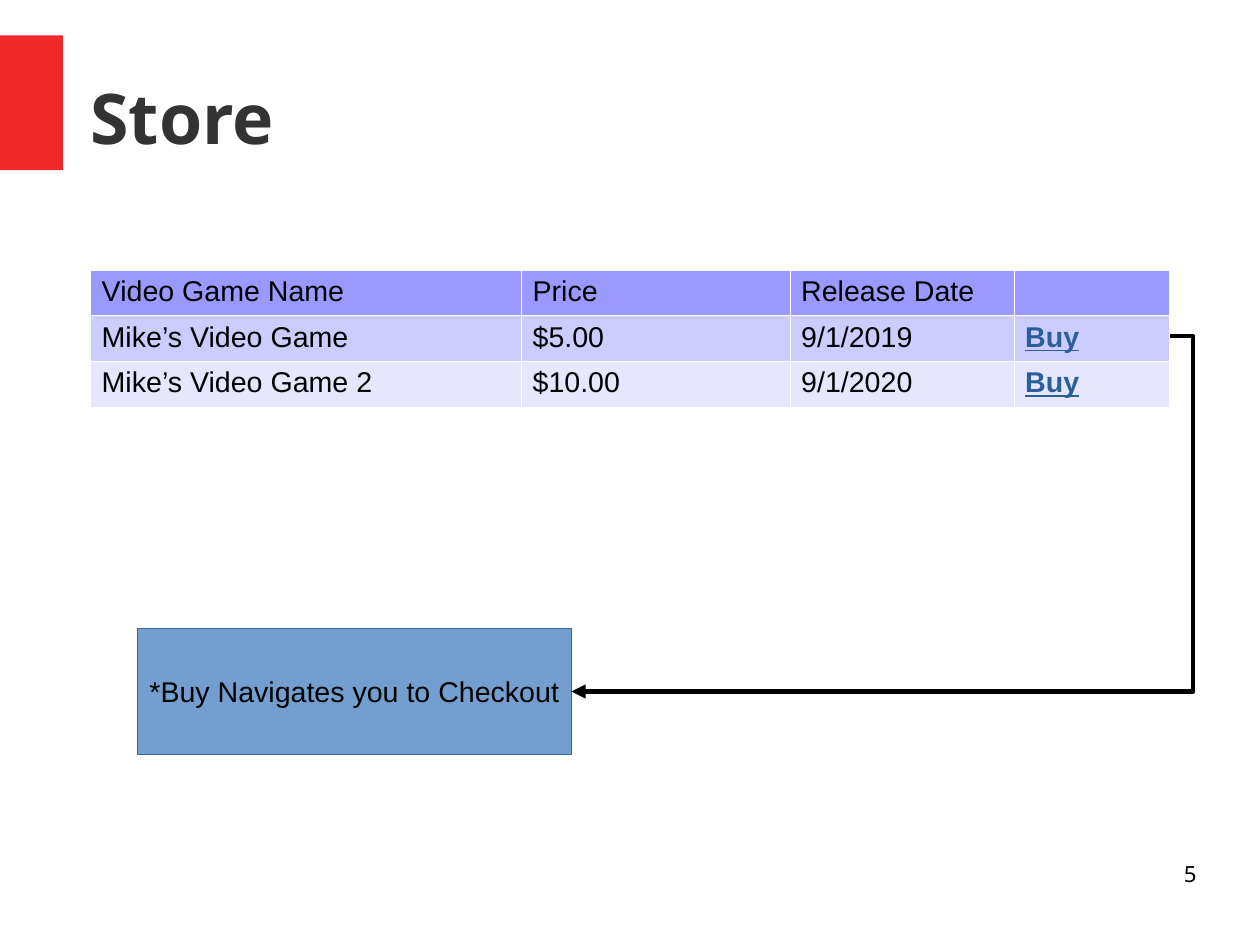
from lxml import etree
from pptx import Presentation
from pptx.dml.color import RGBColor
from pptx.enum.shapes import MSO_CONNECTOR as CONN, MSO_SHAPE as SHAPE
from pptx.enum.text import MSO_ANCHOR as ANCHOR, PP_ALIGN as ALIGN
from pptx.oxml.ns import qn
from pptx.util import Inches, Pt

RED = RGBColor(0xEF, 0x29, 0x29)
DARK = RGBColor(0x33, 0x33, 0x33)
BLACK = RGBColor(0, 0, 0)
LINK = RGBColor(0x2A, 0x60, 0x99)
BOX_FILL = RGBColor(0x72, 0x9F, 0xCF)
BOX_LINE = RGBColor(0x34, 0x65, 0xA4)
ROW_FILLS = [RGBColor(0x99, 0x99, 0xFF), RGBColor(0xCC, 0xCC, 0xFF),
             RGBColor(0xE6, 0xE6, 0xFF)]


def add_run(p, text, size=18, font="Arial", color=BLACK, bold=False):
    r = p.add_run()
    r.text = text
    r.font.size, r.font.name, r.font.bold = Pt(size), font, bold
    r.font.color.rgb = color
    return r


def add_text(left, top, width, height, anchor, align):
    tf = s.shapes.add_textbox(Inches(left), Inches(top), Inches(width),
                              Inches(height)).text_frame
    tf.margin_left = tf.margin_right = tf.margin_top = tf.margin_bottom = 0
    tf.word_wrap = True
    tf.vertical_anchor = anchor
    tf.paragraphs[0].alignment = align
    return tf.paragraphs[0]


# Slide of 28 by 21 cm
prs = Presentation()
prs.slide_width = Inches(28 / 2.54)
prs.slide_height = Inches(21 / 2.54)
s = prs.slides.add_slide(prs.slide_layouts[6])

# Red accent and title
accent = s.shapes.add_shape(SHAPE.RECTANGLE, 0, Inches(0.31), Inches(0.55), Inches(1.18))
accent.shadow.inherit = False
accent.fill.solid()
accent.fill.fore_color.rgb = RED
accent.line.fill.background()
p = add_text(0.79, 0.33, 9.68, 1.38, ANCHOR.MIDDLE, ALIGN.LEFT)
add_run(p, "Store", 44, "Noto Sans", DARK, True)

# Store table
rows = [
    ["Video Game Name", "Price", "Release Date", ""],
    ["Mike’s Video Game", "$5.00", "9/1/2019", "Buy"],
    ["Mike’s Video Game 2", "$10.00", "9/1/2020", "Buy"],
]
table = s.shapes.add_table(3, 4, Inches(0.79), Inches(2.36),
                           Inches(9.45), Inches(1.15)).table
for col, width in zip(table.columns, [3.77, 2.35, 1.96, 1.36]):
    col.width = Inches(width)
for i, (row, fill) in enumerate(zip(rows, ROW_FILLS)):
    for j, text in enumerate(row):
        cell = table.cell(i, j)
        p = cell.text_frame.paragraphs[0]
        if text == "Buy":
            add_run(p, text, color=LINK, bold=True).font.underline = True
        elif text:
            add_run(p, text)
        # Thin white borders come before the fill in the cell properties
        tcPr = cell._tc.get_or_add_tcPr()
        for side in ("a:lnL", "a:lnR", "a:lnT", "a:lnB"):
            ln = etree.SubElement(tcPr, qn(side), w="720")
            solid = etree.SubElement(ln, qn("a:solidFill"))
            etree.SubElement(solid, qn("a:srgbClr"), val="FFFFFF")
        cell.fill.solid()
        cell.fill.fore_color.rgb = fill

# Checkout note
note = s.shapes.add_shape(SHAPE.RECTANGLE, Inches(1.2), Inches(5.5), Inches(3.8), Inches(1.1))
note.shadow.inherit = False
note.fill.solid()
note.fill.fore_color.rgb = BOX_FILL
note.line.color.rgb = BOX_LINE
note.line.width = Pt(0)
tf = note.text_frame
tf.word_wrap = False
tf.vertical_anchor = ANCHOR.MIDDLE
p = tf.paragraphs[0]
p.alignment = ALIGN.CENTER
add_run(p, "*Buy Navigates you to Checkout")

# Arrow from the first Buy cell to the note, bent outside the table
arrow = s.shapes.add_connector(CONN.ELBOW, Inches(10.24), Inches(2.94),
                               Inches(5), Inches(6.05))
arrow.line.color.rgb = BLACK
arrow.line.width = Pt(3)
etree.SubElement(arrow.line._get_or_add_ln(), qn("a:tailEnd"), type="triangle")
spPr = arrow._element.spPr
etree.SubElement(spPr, qn("a:effectLst"))
avLst = spPr.find(qn("a:prstGeom")).get_or_add_avLst()
etree.SubElement(avLst, qn("a:gd"), name="adj1", fmla="val -3800")

# Page number
p = add_text(7.9, 7.53, 2.57, 0.57, ANCHOR.TOP, ALIGN.RIGHT)
add_run(p, "5", 14, "Noto Sans")

prs.save("out.pptx")
